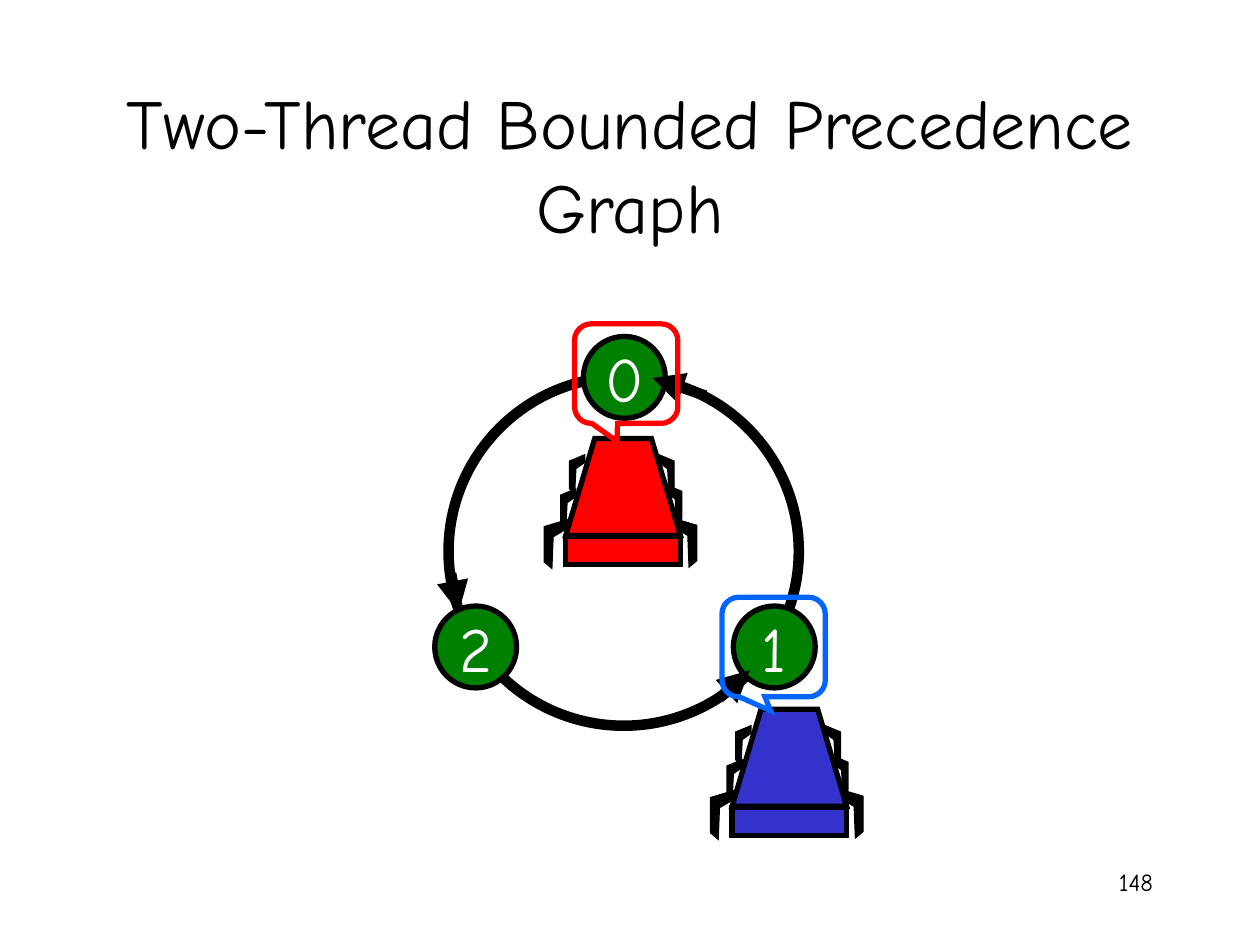
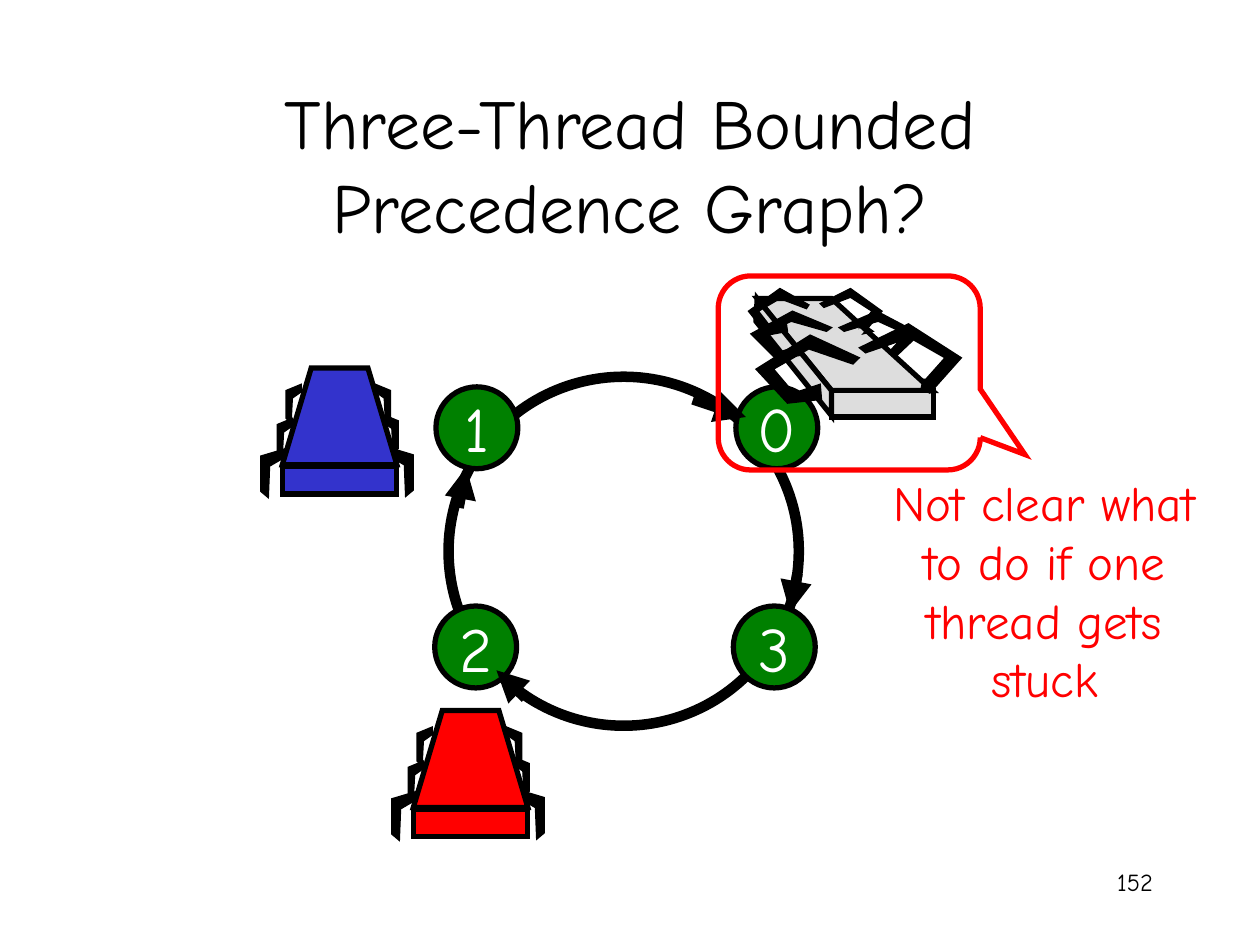
from lxml.etree import SubElement
from pptx import Presentation
from pptx.dml.color import RGBColor
from pptx.enum.shapes import MSO_CONNECTOR as Connector, MSO_SHAPE as Shape
from pptx.enum.text import MSO_ANCHOR as Anchor, PP_ALIGN as Align
from pptx.oxml.ns import qn
from pptx.util import Pt

PX = 9144  # one hundredth of an inch in EMU
FONT = "Comic Neue"
BLACK, WHITE, RED = "000000", "FFFFFF", "FF0000"
GREEN, BLUE, SKY, GREY = "008000", "3333CC", "0066FF", "DDDDDD"
THIN, MEDIUM, THICK = 0.75, 3, 6
NODE_SIZE = 65

# Robot seen from the front: parts measured from its top left corner
ROBOT_BODY = [(0, 77), (23, 0), (68, 0), (91, 77)]
LOWER_LEG = [(0, 0), (20, 6), (20, 34), (14, 39), (13, 14), (1, 7)]
UPPER_LEG = [(0, 0), (12, 5), (12, 27), (8, 31), (7, 11), (0, 6)]
LOW_HIPS = [(84, 63, 1, LOWER_LEG), (80, 37, 1, UPPER_LEG),
            (3, 64, -1, LOWER_LEG), (8, 40, -1, UPPER_LEG)]
TOP_HIPS = [(74, 13, 1, UPPER_LEG), (15, 13, -1, UPPER_LEG)]

# Stuck robot lying on its side, in slide positions
STUCK_TOP = [(601, 237), (660, 310), (740, 310), (660, 237)]
STUCK_SIDE = [(601, 237), (600, 255), (660, 330), (660, 310)]
STUCK_LEGS = [
    [(651, 305), (652, 317), (625, 320), (600, 293), (643, 266), (682, 284),
     (677, 289), (642, 277), (614, 293), (630, 312)],
    [(636, 274), (637, 282), (615, 284), (596, 265), (629, 247), (660, 260),
     (656, 263), (628, 255), (607, 265), (620, 279)],
    [(624, 256), (625, 263), (609, 266), (594, 247), (619, 229), (642, 242),
     (640, 245), (619, 237), (602, 247), (612, 260)],
    [(703, 273), (706, 280), (710, 284), (730, 265), (696, 247), (666, 260),
     (670, 263), (697, 255), (719, 265), (706, 279)],
    [(682, 255), (693, 263), (685, 265), (700, 247), (675, 229), (651, 241),
     (654, 244), (675, 236), (692, 247), (682, 260)],
    [(735, 305), (732, 304), (731, 309), (738, 312), (763, 284), (721, 257),
     (682, 276), (687, 280), (722, 268), (750, 284), (733, 303), (735, 301),
     (729, 301)],
]


def emu(*lengths):
    return [length * PX for length in lengths]


def color(hex_string):
    return RGBColor.from_string(hex_string)


def set_format(target, values):
    for name, value in values.items():
        setattr(target, name, value)


def style(shape, fill, line, width):
    shape.shadow.inherit = False
    if fill:
        shape.fill.solid()
        shape.fill.fore_color.rgb = color(fill)
    else:
        shape.fill.background()
    shape.line.color.rgb = color(line)
    shape.line.width = Pt(width)
    outline = shape.element.spPr.find(qn("a:ln"))
    SubElement(outline, qn("a:miter"), lim="800000")


def write(frame, text, size, ink, align=Align.CENTER, anchor=Anchor.TOP, wrap=True):
    set_format(frame, {"word_wrap": wrap, "vertical_anchor": anchor})
    para = frame.paragraphs[0]
    para.alignment = align
    span = para.add_run()
    span.text = text
    set_format(span.font, {"name": FONT, "size": Pt(size)})
    span.font.color.rgb = color(ink)


def add_text(page, place, text, size, ink=BLACK, **layout):
    box = page.shapes.add_textbox(*emu(*place))
    write(box.text_frame, text, size, ink, **layout)


def add_preset(page, kind, place, fill=None, line=BLACK, width=MEDIUM):
    shape = page.shapes.add_shape(kind, *emu(*place))
    style(shape, fill, line, width)
    return shape


def add_outline(page, points, fill, width=MEDIUM):
    builder = page.shapes.build_freeform(*points[0], scale=PX)
    builder.add_line_segments(points[1:], close=True)
    style(builder.convert_to_shape(), fill, BLACK, width)


def add_node(page, left, top, label):
    node = add_preset(page, Shape.OVAL, (left, top, NODE_SIZE, NODE_SIZE), GREEN)
    write(node.text_frame, label, 36, WHITE, anchor=Anchor.MIDDLE, wrap=False)


def add_arrow(page, *ends):
    arrow = page.shapes.add_connector(Connector.STRAIGHT, *emu(*ends))
    arrow.line.color.rgb = color(BLACK)
    arrow.line.width = Pt(THICK)
    properties = arrow.element.spPr
    SubElement(properties.find(qn("a:ln")), qn("a:tailEnd"), type="triangle")
    SubElement(properties, qn("a:effectLst"))


def add_callout(page, place, line, tail):
    callout = add_preset(page, Shape.ROUNDED_RECTANGULAR_CALLOUT, place, line=line)
    for index, value in enumerate((*tail, 0.167)):
        callout.adjustments[index] = value


def add_robot(page, left, top, fill):
    def add_legs(hips):
        for hip_x, hip_y, side, leg in hips:
            add_outline(page, [(left + hip_x + side * x, top + hip_y + y)
                               for x, y in leg], BLACK, THIN)

    add_legs(LOW_HIPS)
    add_outline(page, [(left + x, top + y) for x, y in ROBOT_BODY], fill)
    add_preset(page, Shape.RECTANGLE, (left, top + 78, 91, 22), fill)
    add_legs(TOP_HIPS)


def add_stuck_robot(page):
    add_outline(page, STUCK_TOP, GREY)
    add_preset(page, Shape.RECTANGLE, (660, 310, 81, 21), GREY)
    add_outline(page, STUCK_SIDE, GREY)
    for leg in STUCK_LEGS:
        add_outline(page, leg, BLACK, THIN)


def add_graph_page(deck, title, number, nodes, arrows):
    """Page number, ring, title, nodes and arrows found on both slides."""
    page = deck.slides.add_slide(deck.slide_layouts[6])
    add_text(page, (717, 683, 208, 50), number, 14, align=Align.RIGHT)
    add_preset(page, Shape.OVAL, (356, 299, 278, 277), width=THICK)
    add_text(page, (75, 67, 850, 125), title, 40, anchor=Anchor.MIDDLE)
    for node in nodes:
        add_node(page, *node)
    for arrow in arrows:
        add_arrow(page, *arrow)
    return page


def add_two_thread_page(deck):
    page = add_graph_page(
        deck, "Two-Thread Bounded Precedence Graph", "148",
        nodes=[(463, 267, "0"), (582, 481, "1"), (345, 481, "2")],
        arrows=[(358, 455, 364, 486), (571, 554, 595, 532), (560, 314, 518, 300)])
    add_robot(page, 449, 348, RED)
    add_robot(page, 581, 563, BLUE)
    add_callout(page, (456, 257, 82, 79), RED, (-0.09, 0.68))
    add_callout(page, (573, 474, 82, 79), SKY, (-0.03, 0.64))


def add_three_thread_page(deck):
    page = add_graph_page(
        deck, "Three-Thread Bounded Precedence Graph?", "152",
        nodes=[(582, 481, "3"), (345, 481, "2"), (584, 307, "0"), (346, 307, "1")],
        arrows=[(633, 455, 627, 486), (417, 554, 394, 532),
                (550, 317, 592, 331), (364, 403, 370, 371)])
    add_robot(page, 328, 564, RED)
    add_stuck_robot(page)
    add_callout(page, (570, 219, 208, 154), RED, (0.67, 0.42))
    add_text(page, (679, 370, 300, 197),
             "Not clear what to do if one thread gets stuck", 28, RED)
    add_robot(page, 224, 292, BLUE)


def main():
    deck = Presentation()
    set_format(deck, {"slide_width": 1000 * PX, "slide_height": 750 * PX})
    add_two_thread_page(deck)
    add_three_thread_page(deck)
    deck.save("out.pptx")


if __name__ == "__main__":
    main()
